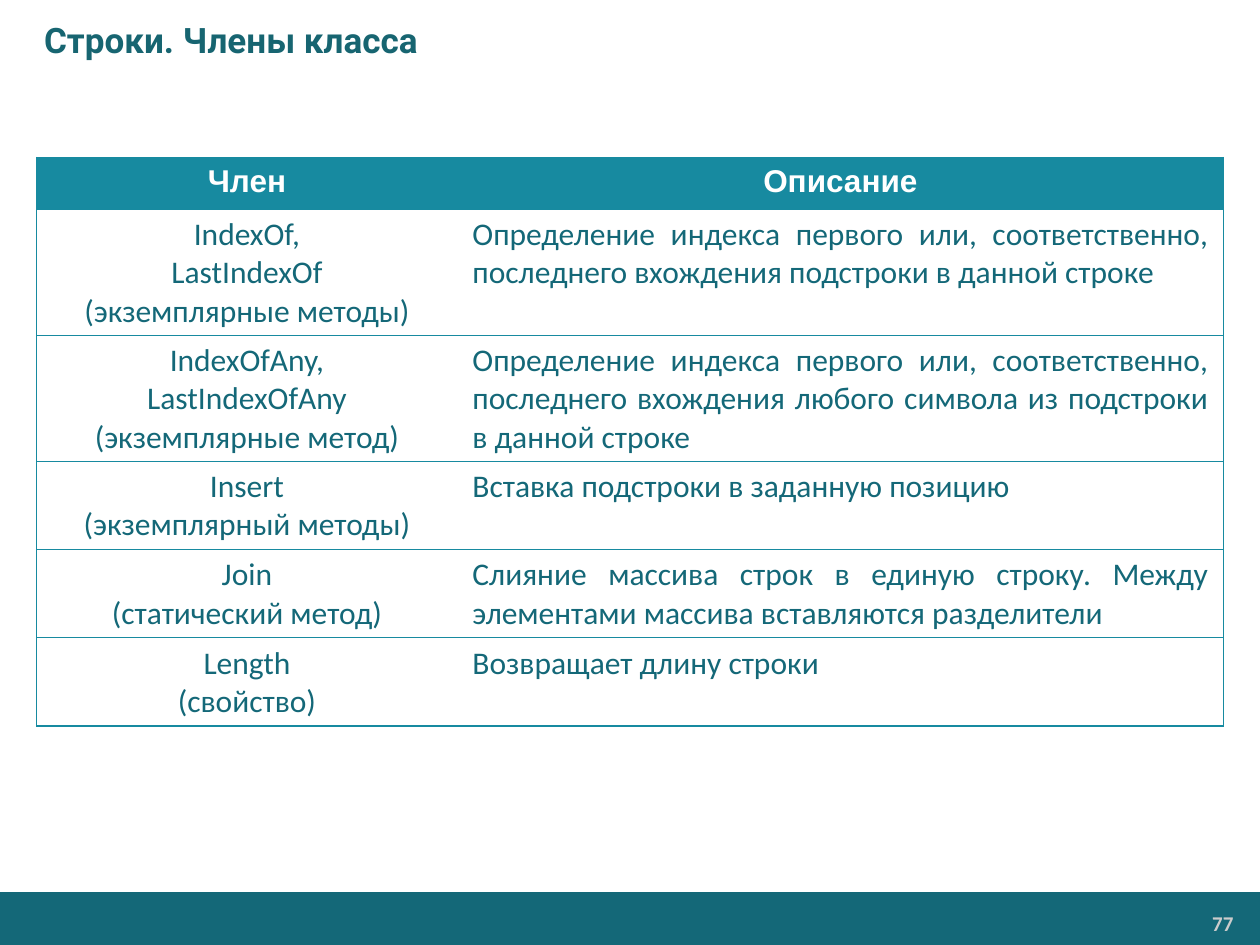
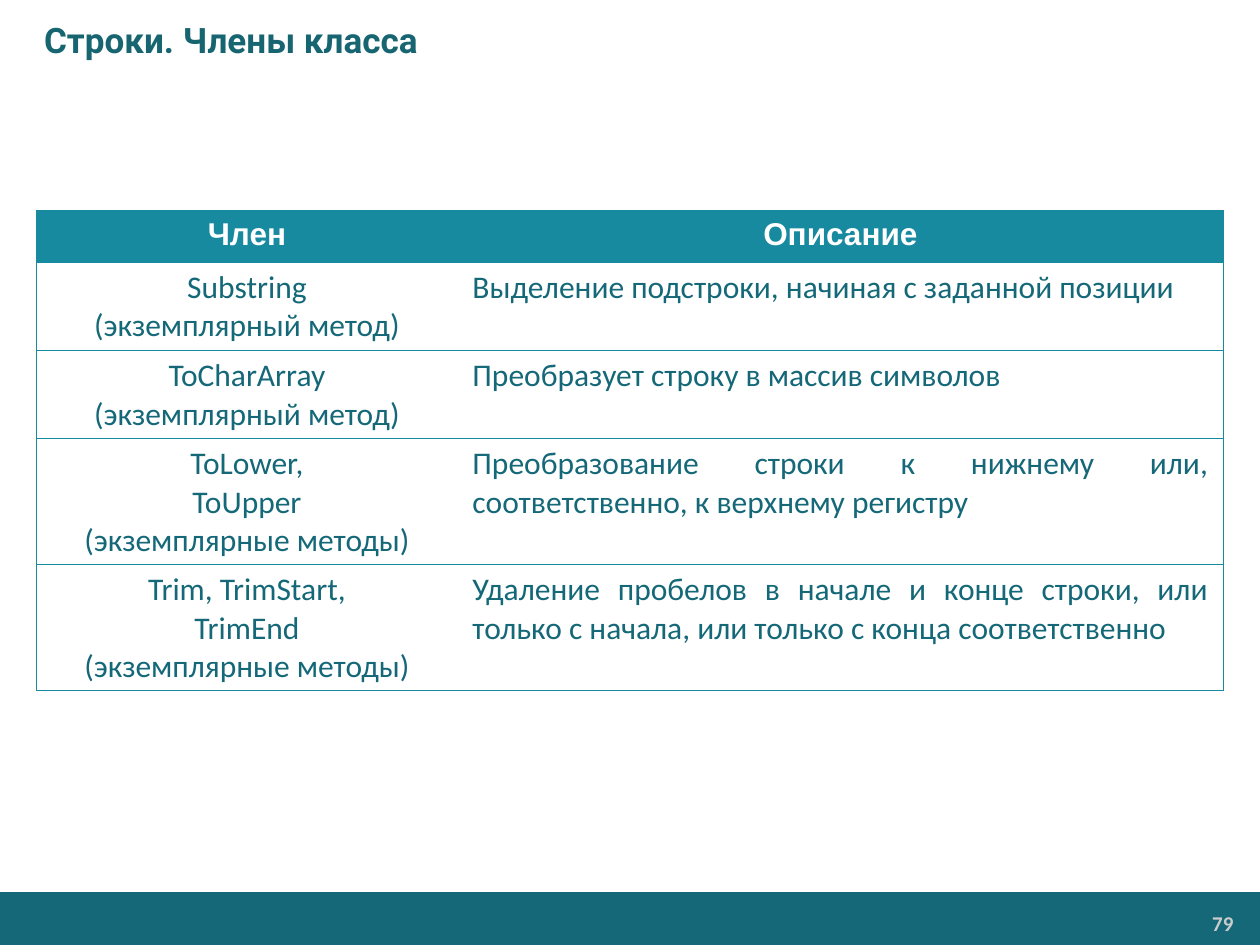
import pptx
import pptx.dml.color
import pptx.enum.shapes
import pptx.enum.text
import pptx.oxml.ns
import pptx.util
from lxml import etree

Inches, Pt = pptx.util.Inches, pptx.util.Pt
RGB = pptx.dml.color.RGBColor
ALIGN = pptx.enum.text.PP_ALIGN
ANCHOR = pptx.enum.text.MSO_ANCHOR
qn = pptx.oxml.ns.qn

# Content
TITLE = "Строки. Члены класса"
HEADINGS = ("Член", "Описание")
SLIDES = [
    {"number": 77, "top": 1.25, "members": [
        (["IndexOf,", "LastIndexOf", "(экземплярные методы)"],
         "Определение индекса первого или, соответственно, последнего вхождения подстроки в данной строке"),
        (["IndexOfAny,", "LastIndexOfAny", "(экземплярные метод)"],
         "Определение индекса первого или, соответственно, последнего вхождения любого символа "
         "из подстроки в данной строке"),
        (["Insert", "(экземплярный методы)"], "Вставка подстроки в заданную позицию"),
        (["Join", "(статический метод)"],
         "Слияние массива строк в единую строку. Между элементами массива вставляются разделители"),
        (["Length", "(свойство)"], "Возвращает длину строки"),
    ]},
    {"number": 79, "top": 1.67, "members": [
        (["Substring", "(экземплярный метод)"], "Выделение подстроки, начиная с заданной позиции"),
        (["ToCharArray", "(экземплярный метод)"], "Преобразует строку в массив символов"),
        (["ToLower,", "ToUpper", "(экземплярные методы)"],
         "Преобразование строки к нижнему или, соответственно, к верхнему регистру"),
        (["Trim, TrimStart,", "TrimEnd", "(экземплярные методы)"],
         "Удаление пробелов в начале и конце строки, или только с начала, "
         "или только с конца соответственно"),
    ]},
]

# Shared look
DEEP_TEAL = RGB(0x14, 0x68, 0x78)
TITLE_TEAL = RGB(0x17, 0x65, 0x71)
TABLE_TEAL = RGB(0x17, 0x8A, 0xA0)
WHITE = RGB(0xFF, 0xFF, 0xFF)
NUMBER_GREY = RGB(0xCC, 0xCC, 0xCC)
COLUMNS = (3.34, 6.08)
TABLE_LEFT = 0.29
CELL_MARGINS = (0.12, 0.05, 0.12, 0.05)
LINE_HEIGHT = 0.3
NO_STYLE = "{2D5ABB26-0587-4C30-8999-92F81FD0307C}"
HEADING_FORMAT = dict(font="Arial", color=WHITE, bold=True, align=ALIGN.CENTER)


def write(frame, text, font="Calibri", size=18, color=DEEP_TEAL, bold=False,
          align=ALIGN.LEFT):
    """Fill a text frame; a list gives one paragraph per item."""
    lines = [text] if isinstance(text, str) else text
    for index, line in enumerate(lines):
        paragraph = frame.add_paragraph() if index else frame.paragraphs[0]
        paragraph.alignment = align
        run = paragraph.add_run()
        run.text = line
        run.font.name, run.font.size, run.font.bold = font, Pt(size), bold
        run.font.color.rgb = color


def set_margins(target, margins):
    (target.margin_left, target.margin_top,
     target.margin_right, target.margin_bottom) = map(Inches, margins)


def add_text(slide, text, box, margins, anchor=ANCHOR.TOP, **text_format):
    frame = slide.shapes.add_textbox(*map(Inches, box)).text_frame
    frame.word_wrap = True
    frame.vertical_anchor = anchor
    set_margins(frame, margins)
    write(frame, text, **text_format)


def add_frame(slide, number):
    """Footer band, slide number and title."""
    band = slide.shapes.add_shape(pptx.enum.shapes.MSO_SHAPE.RECTANGLE,
                                  *map(Inches, (0, 7.08, 10.01, 0.43)))
    band.shadow.inherit = False
    band.fill.solid()
    band.fill.fore_color.rgb = DEEP_TEAL
    band.line.fill.background()
    add_text(slide, str(number), (8.23, 7.19, 1.63, 0.28), (0.07, 0.04, 0.07, 0.04),
             size=12, color=NUMBER_GREY, bold=True, align=ALIGN.RIGHT)
    add_text(slide, TITLE, (0, 0, 10, 0.63), (0.35, 0.05, 0.1, 0.05), ANCHOR.MIDDLE,
             font="Roboto", size=20, color=TITLE_TEAL, bold=True)


def format_cell(cell, outer_side, fill_color=None):
    """Rule the outer, top and bottom edges, then fill."""
    properties = cell._tc.get_or_add_tcPr()
    for side in sorted((outer_side, "T", "B"), key="LRTB".index):
        line = etree.SubElement(properties, qn("a:ln" + side), w=str(Pt(0.75)))
        solid = etree.SubElement(line, qn("a:solidFill"))
        etree.SubElement(solid, qn("a:srgbClr"), val=str(TABLE_TEAL))
    set_margins(cell, CELL_MARGINS)
    if fill_color is None:
        cell.fill.background()
    else:
        cell.fill.solid()
        cell.fill.fore_color.rgb = fill_color


def add_members(slide, top, members):
    heights = [0.41] + [0.1 + LINE_HEIGHT * len(names) for names, _ in members]
    frame = slide.shapes.add_table(
        len(heights), len(COLUMNS),
        *map(Inches, (TABLE_LEFT, top, sum(COLUMNS), sum(heights))))
    next(frame.element.iter(qn("a:tableStyleId"))).text = NO_STYLE
    table = frame.table
    table.horz_banding = False
    for column, width in zip(table.columns, COLUMNS):
        column.width = Inches(width)
    for row, height in zip(table.rows, heights):
        row.height = Inches(height)
    for row, texts in enumerate([HEADINGS, *members]):
        for column, text in enumerate(texts):
            cell = table.cell(row, column)
            format_cell(cell, "LR"[column], None if row else TABLE_TEAL)
            if row == 0:
                write(cell.text_frame, text, **HEADING_FORMAT)
            else:
                write(cell.text_frame, text, align=(ALIGN.CENTER, ALIGN.JUSTIFY)[column])


def main():
    deck = pptx.Presentation()
    deck.slide_width, deck.slide_height = Inches(10), Inches(7.5)
    for content in SLIDES:
        slide = deck.slides.add_slide(deck.slide_layouts[6])
        add_frame(slide, content["number"])
        add_members(slide, content["top"], content["members"])
    deck.save("out.pptx")


if __name__ == "__main__":
    main()
